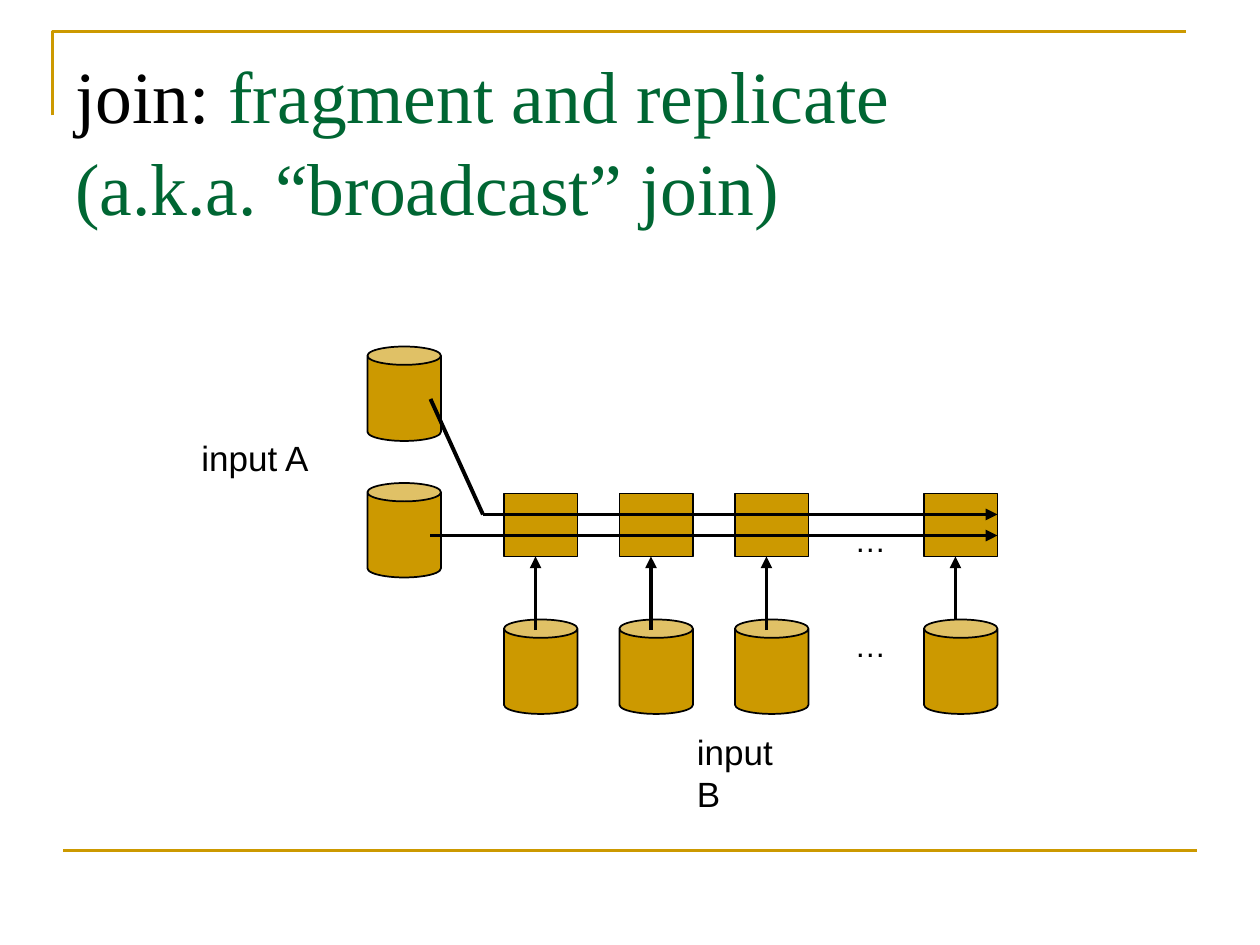
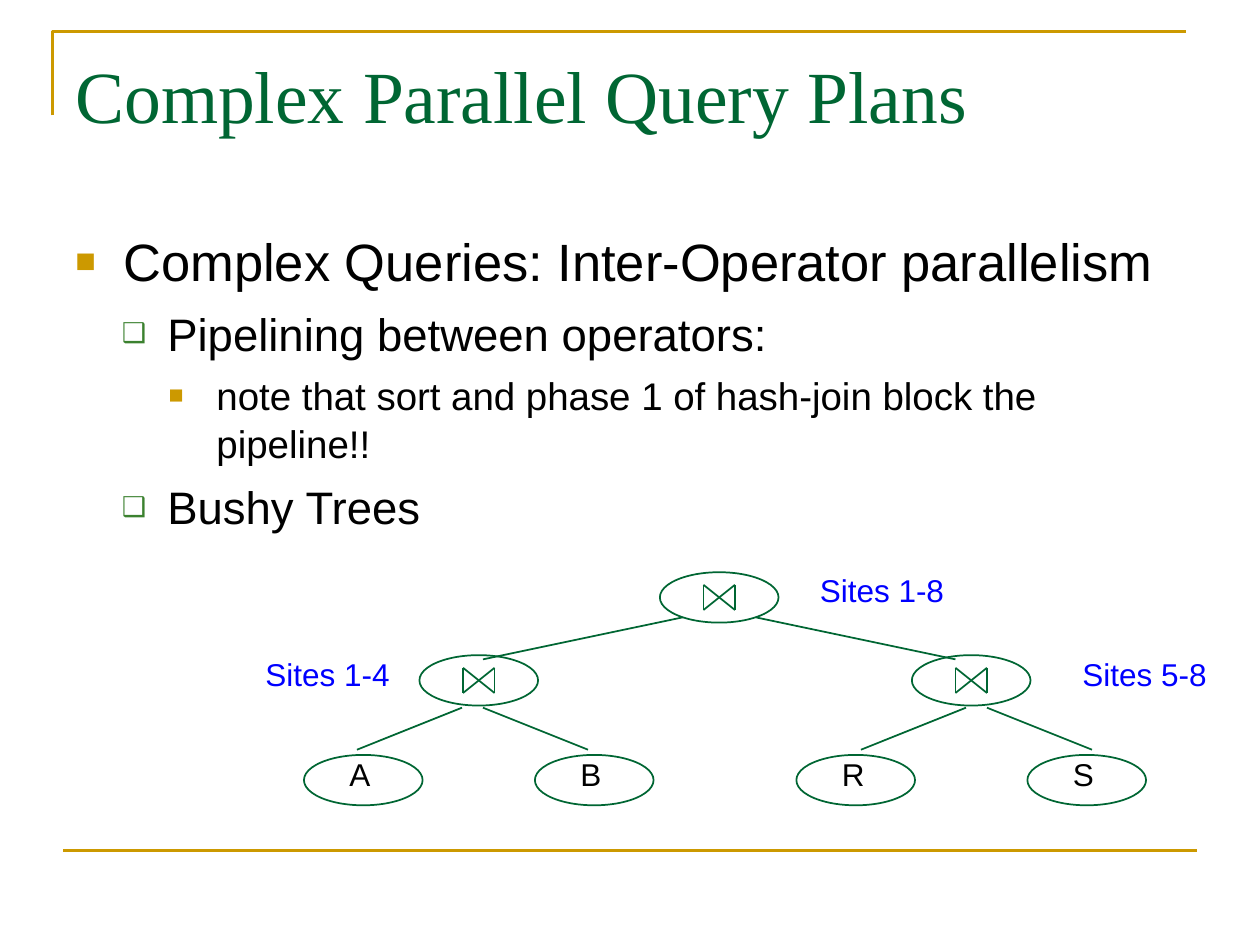
import lxml.etree
import pptx
import pptx.dml.color
import pptx.enum.shapes
import pptx.enum.text
import pptx.oxml.ns
import pptx.util

COLS, ROWS = 120, 90
COLORS = {"gold": "CC9900", "green": "006633", "leaf": "3B812F",
          "blue": "0000FF", "black": "000000"}
SHAPES = pptx.enum.shapes.MSO_SHAPE
# bullet, its colour, its size in %, left margin, hanging indent (inches), text size
LEVELS = [("■", "gold", 65, 0.38, 0.38, 30),
          ("❑", "leaf", 60, 0.73, 0.36, 26),
          ("■", "gold", 65, 1.12, 0.38, 22)]


def rgb(name):
    return pptx.dml.color.RGBColor.from_string(COLORS[name])


def child(parent, tag, **attrs):
    return lxml.etree.SubElement(parent, pptx.oxml.ns.qn(tag), attrs)


class Deck:
    """Slide style and current slide; lengths are grid columns and rows."""
    body_font, title_font = "Arial", "Times New Roman"
    line_spacing = 1.04

    def __init__(self):
        self.prs = pptx.Presentation()
        self.prs.slide_width = pptx.util.Inches(10)
        self.prs.slide_height = pptx.util.Inches(7.5)
        self.s = None

    def x(self, col):
        return round(self.prs.slide_width * col / COLS)

    def y(self, row):
        return round(self.prs.slide_height * row / ROWS)

    def box(self, col, row, cols, rows):
        return self.x(col), self.y(row), self.x(cols), self.y(rows)

    def slide(self, *title):
        """Start a slide with frame lines and a title made of (text, colour) pieces."""
        self.s = self.prs.slides.add_slide(self.prs.slide_layouts[6])
        corner = self.s.shapes.build_freeform(self.x(5), self.y(11))
        corner.add_line_segments([(self.x(5), self.y(3)), (self.x(113), self.y(3))],
                                 close=False)
        sp = corner.convert_to_shape()
        sp.shadow.inherit = False
        sp.fill.background()
        self.outline(sp, "gold", 1.5)
        self.line((6, 81), (114, 81), "gold", 1.5)

        tf = self.text_frame(6, 3.6, 108, 15)
        tf.margin_top = pptx.util.Inches(0.07)
        p = tf.paragraphs[0]
        p.line_spacing = self.line_spacing
        for text, color in title:
            if text.startswith("\n"):
                p.add_line_break()
            r = p.add_run()
            r.text = text.strip("\n")
            self.style(r, 42, color, self.title_font)

    def style(self, r, size, color, font=body_font):
        r.font.size = pptx.util.Pt(size)
        r.font.name = font
        r.font.color.rgb = rgb(color)

    def outline(self, sp, color, width):
        sp.line.color.rgb = rgb(color)
        sp.line.width = pptx.util.Pt(width)

    def text_frame(self, *place):
        tf = self.s.shapes.add_textbox(*self.box(*place)).text_frame
        tf.word_wrap = True
        return tf

    def label(self, text, col, row, cols, size=18, color="black"):
        tf = self.text_frame(col, row, cols, 4.8 * size / 18)
        tf.word_wrap = False
        tf.auto_size = pptx.enum.text.MSO_AUTO_SIZE.SHAPE_TO_FIT_TEXT
        tf.text = text
        self.style(tf.paragraphs[0].runs[0], size, color)

    def bullets(self, items, *place):
        tf = self.text_frame(*place)
        for i, (level, text) in enumerate(items):
            char, color, percent, margin, hang, size = LEVELS[level]
            p = tf.add_paragraph() if i else tf.paragraphs[0]
            p.text = text
            p.level = level
            pPr = p._p.get_or_add_pPr()
            pPr.set("marL", str(pptx.util.Inches(margin)))
            pPr.set("indent", str(-pptx.util.Inches(hang)))
            child(child(pPr, "a:buClr"), "a:srgbClr", val=COLORS[color])
            child(pPr, "a:buSzPct", val=str(percent * 1000))
            child(pPr, "a:buFont", typeface=self.body_font)
            child(pPr, "a:buChar", char=char)
            p.line_spacing = self.line_spacing
            p.space_before = pptx.util.Pt(size / 4 if i else 0)
            self.style(p.runs[0], size, "black")

    def shape(self, kind, place, fill=None, line="black"):
        sp = self.s.shapes.add_shape(kind, *self.box(*place))
        sp.shadow.inherit = False
        if fill:
            sp.fill.solid()
            sp.fill.fore_color.rgb = rgb(fill)
        else:
            sp.fill.background()
        self.outline(sp, line, 1)

    def line(self, start, end, color="black", width=2.25, arrow=False):
        c = self.s.shapes.add_connector(
            pptx.enum.shapes.MSO_CONNECTOR.STRAIGHT,
            self.x(start[0]), self.y(start[1]), self.x(end[0]), self.y(end[1]))
        self.outline(c, color, width)
        if arrow:
            child(c.line._get_or_add_ln(), "a:tailEnd", type="triangle")
        child(c._element.spPr, "a:effectLst")

    def can(self, col, row):
        self.shape(SHAPES.CAN, (col, row, 7, 9), "gold")

    def oval(self, x, y):
        """Tree node centred at x, y."""
        self.shape(SHAPES.OVAL, (x - 5.65, y - 2.4, 11.3, 4.8), line="green")

    def join_node(self, x, y):
        """Tree node holding the bow-tie join sign."""
        self.oval(x, y)
        left, right, top, bottom = x - 1.5, x + 1.5, y - 1.2, y + 1.2
        for start, end in [((left, top), (left, bottom)), ((left, top), (right, bottom)),
                           ((left, bottom), (right, top)), ((right, top), (right, bottom))]:
            self.line(start, end, "green", 1)


def broadcast_join(deck):
    deck.slide(("join:", "black"), (" fragment and replicate", "green"),
               ("\n(a.k.a. “broadcast” join)", "green"))
    deck.label("input B", 65.2, 69, 12.7, 20)
    deck.label("input A", 18, 41, 12.7, 20)
    for row in (33, 46):
        deck.can(35, row)
    workers = (48, 59, 70, 88)
    for col in workers:
        deck.shape(SHAPES.RECTANGLE, (col, 47, 7, 6), "gold")
    for col in workers[:-1]:
        deck.can(col, 59)
    for col in workers:
        deck.line((col + 3, 60), (col + 3, 53), arrow=True)
    deck.can(workers[-1], 59)
    deck.line((46, 49), (41, 38))
    deck.line((46, 49), (95, 49), arrow=True)
    deck.line((41, 51), (95, 51), arrow=True)
    for row in (49, 59):
        deck.label("…", 80.2, row, 5.4)


def query_plans(deck):
    deck.slide(("Complex Parallel Query Plans", "green"))
    deck.bullets([(0, "Complex Queries: Inter-Operator parallelism"),
                  (1, "Pipelining between operators:"),
                  (2, "note that sort and phase 1 of hash-join block the pipeline!!"),
                  (1, "Bushy Trees")], 6, 21, 108, 59.4)
    deck.join_node(68.5, 56.9)
    # join centre, centre of its branches, inner end and start of the root edge, leaves
    for x, fork, root_end, root_start, leaves in [(45.6, 45, 46, 65, "AB"),
                                                  (92.5, 93, 91, 72, "RS")]:
        deck.join_node(x, 64.8)
        deck.line((root_start, 58.8), (root_end, 62.8), "green", 1)
        for side, leaf in zip((-1, 1), leaves):
            leaf_x = x + side * 11
            deck.oval(leaf_x, 74.3)
            deck.label(leaf, leaf_x - 2.5, 71.3, 4.4)
            deck.line((fork + side * 11, 71.4), (fork + side, 67.4), "green", 1)
    for sites, col, row in [("1-4", 24.1, 61.8), ("5-8", 101.9, 61.8), ("1-8", 76.9, 53.8)]:
        deck.label("Sites " + sites, col, row, 14.2, color="blue")


def main():
    deck = Deck()
    broadcast_join(deck)
    query_plans(deck)
    deck.prs.save("out.pptx")


if __name__ == "__main__":
    main()
